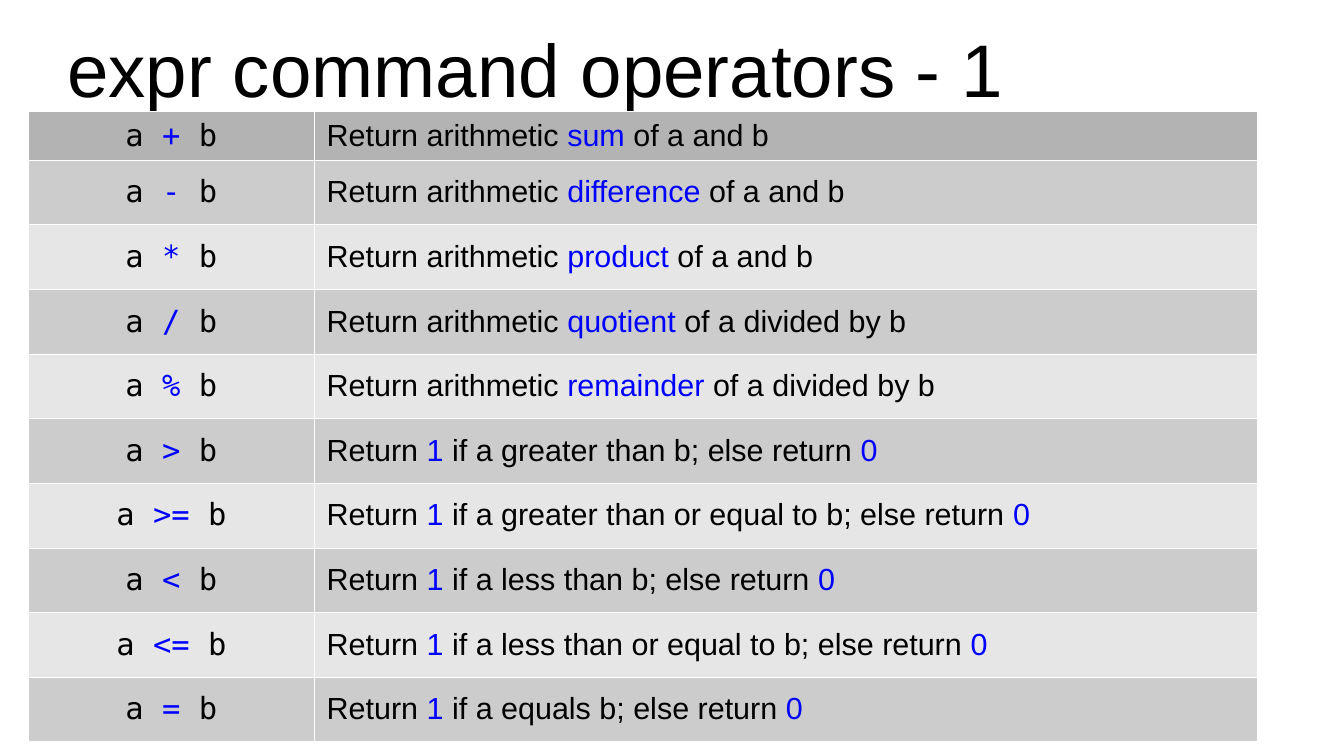
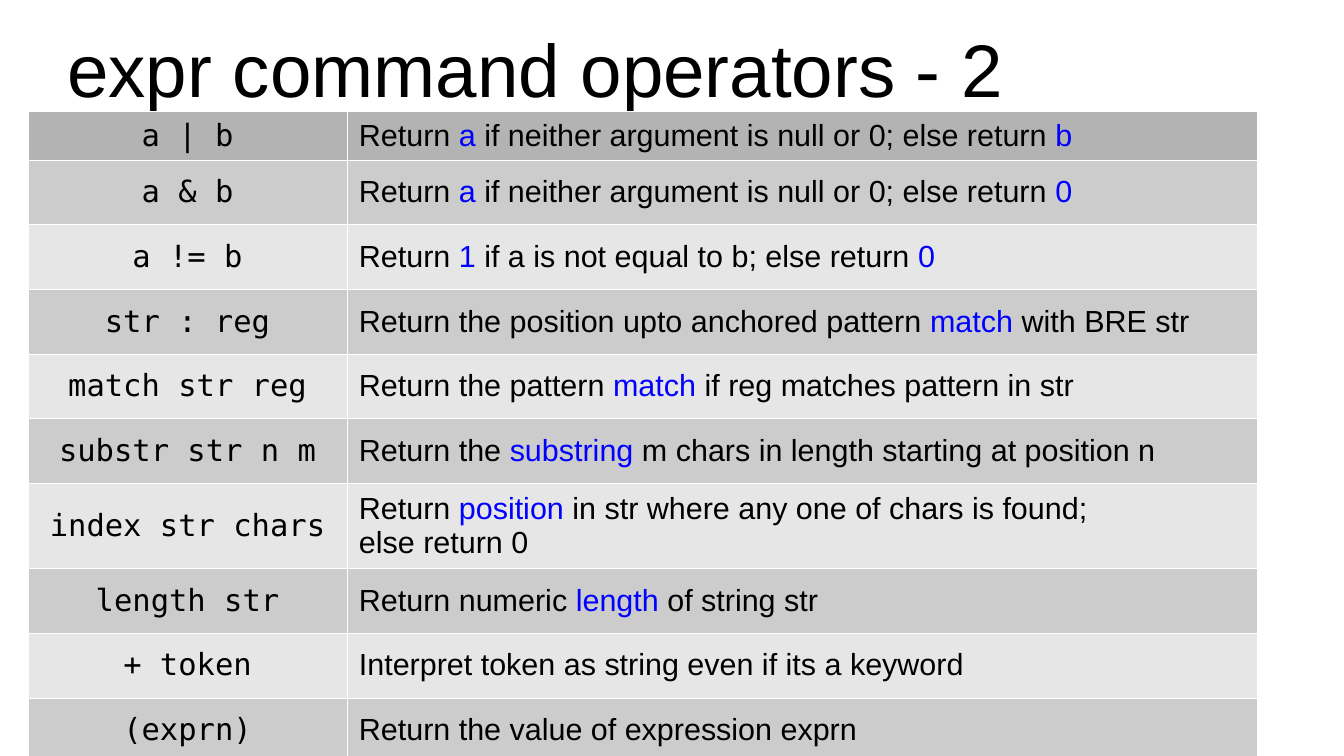
from dataclasses import dataclass

from lxml import etree
from pptx import Presentation
from pptx.dml.color import RGBColor
from pptx.enum.text import MSO_ANCHOR, MSO_AUTO_SIZE, PP_ALIGN
from pptx.oxml.ns import qn
from pptx.util import Inches, Pt

LEFT, CENTER = PP_ALIGN.LEFT, PP_ALIGN.CENTER
MIDDLE = MSO_ANCHOR.MIDDLE
GROW = MSO_AUTO_SIZE.SHAPE_TO_FIT_TEXT
TITLE_ONLY = 5

SLIDE_WIDTH, SLIDE_HEIGHT = Inches(11.02), Inches(6.2)


@dataclass(frozen=True)
class Theme:
    text: str = "000000"
    accent: str = "0000FF"
    border: str = "FFFFFF"
    header_band: str = "B3B3B3"
    bands: tuple[str, str] = ("CCCCCC", "E6E6E6")
    body_font: str = "Arial"
    code_font: str = "DejaVu Sans Mono"
    title_size: float = 44
    body_size: float = 18
    border_width: float = 0.06


@dataclass(frozen=True)
class Box:
    """A place in percent of the slide's width and height."""
    left: float
    top: float
    width: float
    height: float


@dataclass(frozen=True)
class Operator:
    """One table row; text between backticks is accented."""
    syntax: str
    meaning: str


@dataclass(frozen=True)
class OperatorSlide:
    title: str
    syntax_width: float
    operators: tuple[Operator, ...]


THEME = Theme()
TITLE_BOX = Box(5, 3.4, 90, 11)
TABLE_BOX = Box(2.1, 14.7, 91.45, 83.05)
HEADER_HEIGHT = 6.1

SLIDES = (
    OperatorSlide("expr command operators - 1", 21.3, (
        Operator("a `+` b", "Return arithmetic `sum` of a and b"),
        Operator("a `-` b", "Return arithmetic `difference` of a and b"),
        Operator("a `*` b", "Return arithmetic `product` of a and b"),
        Operator("a `/` b", "Return arithmetic `quotient` of a divided by b"),
        Operator("a `%` b", "Return arithmetic `remainder` of a divided by b"),
        Operator("a `>` b", "Return `1` if a greater than b; else return `0`"),
        Operator("a `>=` b", "Return `1` if a greater than or equal to b; else return `0`"),
        Operator("a `<` b", "Return `1` if a less than b; else return `0`"),
        Operator("a `<=` b", "Return `1` if a less than or equal to b; else return `0`"),
        Operator("a `=` b", "Return `1` if a equals b; else return `0`"),
    )),
    OperatorSlide("expr command operators - 2", 23.7, (
        Operator("a | b", "Return `a` if neither argument is null or 0; else return `b`"),
        Operator("a & b", "Return `a` if neither argument is null or 0; else return `0`"),
        Operator("a != b", "Return `1` if a is not equal to b; else return `0`"),
        Operator("str : reg", "Return the position upto anchored pattern `match` with BRE str"),
        Operator("match str reg", "Return the pattern `match` if reg matches pattern in str"),
        Operator("substr str n m",
                 "Return the `substring` m chars in length starting at position n"),
        Operator("index str chars",
                 "Return `position` in str where any one of chars is found;\nelse return 0"),
        Operator("length str", "Return numeric `length` of string str"),
        Operator("+ token", "Interpret token as string even if its a keyword"),
        Operator("(exprn)", "Return the value of expression exprn"),
    )),
)


def across(percent: float) -> int:
    return round(SLIDE_WIDTH * percent / 100)


def down(percent: float) -> int:
    return round(SLIDE_HEIGHT * percent / 100)


def place(box: Box) -> tuple[int, int, int, int]:
    return across(box.left), down(box.top), across(box.width), down(box.height)


def write(frame, text: str, *, font: str = THEME.body_font,
          size: float = THEME.body_size, align: PP_ALIGN = LEFT) -> None:
    """Fill a frame with text, accenting backticked parts and breaking at newlines."""
    paragraph = frame.paragraphs[0]
    paragraph.alignment = align
    for part_index, part in enumerate(text.split("`")):
        color = THEME.accent if part_index % 2 else THEME.text
        for line_index, line in enumerate(part.split("\n")):
            if line_index:
                paragraph.add_line_break()
            if line:
                run = paragraph.add_run()
                run.text = line
                run.font.name = font
                run.font.size = Pt(size)
                run.font.color.rgb = RGBColor.from_string(color)


def add_title(slide, text: str) -> None:
    title = slide.shapes.title
    title.left, title.top, title.width, title.height = place(TITLE_BOX)
    frame = title.text_frame
    frame.margin_left = frame.margin_top = frame.margin_right = frame.margin_bottom = 0
    frame.vertical_anchor = MIDDLE
    frame.word_wrap = True
    frame.auto_size = GROW
    write(frame, text, size=THEME.title_size)


def format_cell(cell, band: str) -> None:
    properties = cell._tc.get_or_add_tcPr()
    for side in ("a:lnL", "a:lnR", "a:lnT", "a:lnB"):
        line = etree.SubElement(properties, qn(side), w=str(Pt(THEME.border_width)))
        fill = etree.SubElement(line, qn("a:solidFill"))
        etree.SubElement(fill, qn("a:srgbClr"), val=THEME.border)
    cell.fill.solid()
    cell.fill.fore_color.rgb = RGBColor.from_string(band)
    cell.vertical_anchor = MIDDLE


def add_operator_table(slide, content: OperatorSlide) -> None:
    row_count = len(content.operators)
    table = slide.shapes.add_table(row_count, 2, *place(TABLE_BOX)).table
    table.first_row = table.horz_banding = False
    table.columns[0].width = across(content.syntax_width)
    table.columns[1].width = across(TABLE_BOX.width - content.syntax_width)
    row_height = (TABLE_BOX.height - HEADER_HEIGHT) / (row_count - 1)
    for index, operator in enumerate(content.operators):
        table.rows[index].height = down(row_height if index else HEADER_HEIGHT)
        band = THEME.bands[(index - 1) % 2] if index else THEME.header_band
        syntax, meaning = table.cell(index, 0), table.cell(index, 1)
        for cell in (syntax, meaning):
            format_cell(cell, band)
        write(syntax.text_frame, operator.syntax, font=THEME.code_font, align=CENTER)
        write(meaning.text_frame, operator.meaning)


def main() -> None:
    deck = Presentation()
    deck.slide_width, deck.slide_height = SLIDE_WIDTH, SLIDE_HEIGHT
    for content in SLIDES:
        slide = deck.slides.add_slide(deck.slide_layouts[TITLE_ONLY])
        add_title(slide, content.title)
        add_operator_table(slide, content)
    deck.save("out.pptx")


if __name__ == "__main__":
    main()
